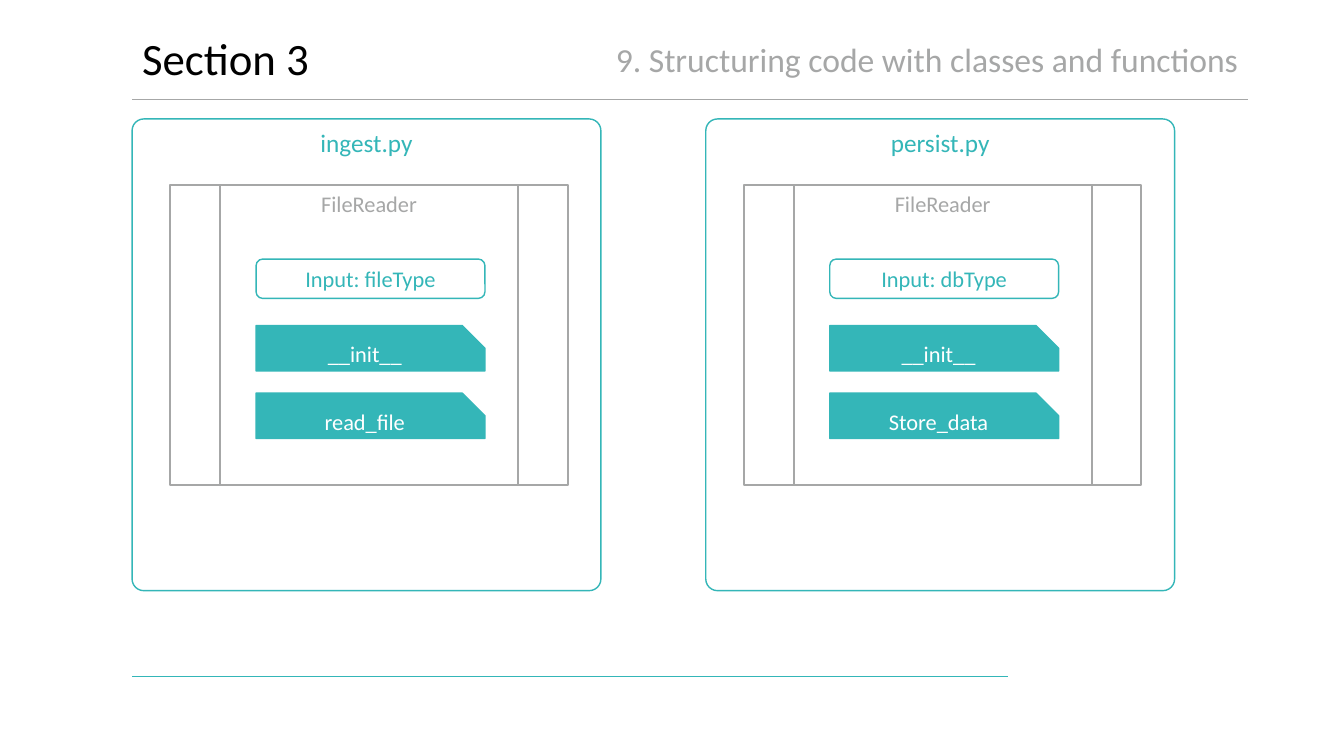
from lxml import etree
from pptx import Presentation
from pptx.dml.color import RGBColor
from pptx.enum import shapes, text
from pptx.oxml import ns
from pptx.util import Inches, Pt

COLORS = {"teal": "34B6B8", "gray": "A6A7A7", "black": "000000", "white": "FFFFFF"}
KINDS = shapes.MSO_SHAPE
ALIGN = text.PP_ALIGN
ANCHOR = text.MSO_ANCHOR


class Deck:
    font = "Calibri"

    def __init__(self, width, height):
        self.prs = Presentation()
        self.prs.slide_width = Inches(width)
        self.prs.slide_height = Inches(height)
        self.slide = self.prs.slides.add_slide(self.prs.slide_layouts[5])

    def color(self, name):
        return RGBColor.from_string(COLORS[name])

    def letter(self, shape, words, size, color, align, anchor):
        frame = shape.text_frame
        frame.text = words
        frame.word_wrap = True
        frame.vertical_anchor = anchor
        para = frame.paragraphs[0]
        para.alignment = align
        font = para.runs[0].font
        font.name = self.font
        font.size = Pt(size)
        font.color.rgb = self.color(color)
        return para

    def title(self, words, left, top, width, height):
        shape = self.slide.shapes.title
        shape.left, shape.top = Inches(left), Inches(top)
        shape.width, shape.height = Inches(width), Inches(height)
        para = self.letter(shape, words, 32, "black", ALIGN.LEFT, ANCHOR.MIDDLE)
        para.line_spacing = 0.9

    def label(self, words, left, top, width, height):
        box = self.slide.shapes.add_textbox(
            Inches(left), Inches(top), Inches(width), Inches(height))
        para = self.letter(box, words, 24, "gray", ALIGN.RIGHT, ANCHOR.TOP)
        para.line_spacing = 0.9
        para.space_before = Pt(10)

    def rule(self, left, right, y, color, weight):
        line = self.slide.shapes.add_connector(
            shapes.MSO_CONNECTOR.STRAIGHT,
            Inches(left), Inches(y), Inches(right), Inches(y))
        line.line.color.rgb = self.color(color)
        line.line.width = Pt(weight)
        etree.SubElement(line._element.spPr, ns.qn("a:effectLst"))

    def box(self, kind, words, left, top, width, height, size=16, color="teal",
            line="teal", weight=1, fill=None, adjust=None, anchor=ANCHOR.MIDDLE):
        shape = self.slide.shapes.add_shape(
            kind, Inches(left), Inches(top), Inches(width), Inches(height))
        shape.shadow.inherit = False
        if adjust is not None:
            shape.adjustments[0] = adjust
        if fill:
            shape.fill.solid()
            shape.fill.fore_color.rgb = self.color(fill)
        else:
            shape.fill.background()
        shape.line.color.rgb = self.color(line)
        shape.line.width = Pt(weight)
        self.letter(shape, words, size, color, ALIGN.CENTER, anchor)

    def module(self, left, name, param, methods):
        self.box(KINDS.ROUNDED_RECTANGLE, name, left, 1.18, 4.65, 4.68,
                 size=18, adjust=0.025, anchor=ANCHOR.TOP)
        inner = left + 1.23
        self.box(KINDS.ROUNDED_RECTANGLE, param, inner, 2.57, 2.27, 0.39, fill="white")
        self.box(KINDS.FLOWCHART_PREDEFINED_PROCESS, "FileReader", left + 0.38, 1.84,
                 3.94, 2.97, color="gray", line="gray", weight=1.5, anchor=ANCHOR.TOP)
        for row, method in enumerate(methods):
            self.box(KINDS.SNIP_1_RECTANGLE, method, inner, 3.23 + 0.67 * row,
                     2.27, 0.45, color="white", fill="teal", adjust=0.5)


def main():
    deck = Deck(13.33, 7.5)
    deck.rule(1.31, 12.38, 0.99, "gray", 1)
    deck.rule(1.31, 10, 6.71, "teal", 1)
    deck.title("Section 3", 1.31, 0.29, 11.08, 0.62)
    deck.label("9. Structuring code with classes and functions", 5.95, 0.38, 6.43, 0.42)
    deck.module(1.31, "ingest.py", "Input: fileType", ["__init__", "read_file"])
    deck.module(7, "persist.py", "Input: dbType", ["__init__", "Store_data"])
    deck.prs.save("out.pptx")


if __name__ == "__main__":
    main()
